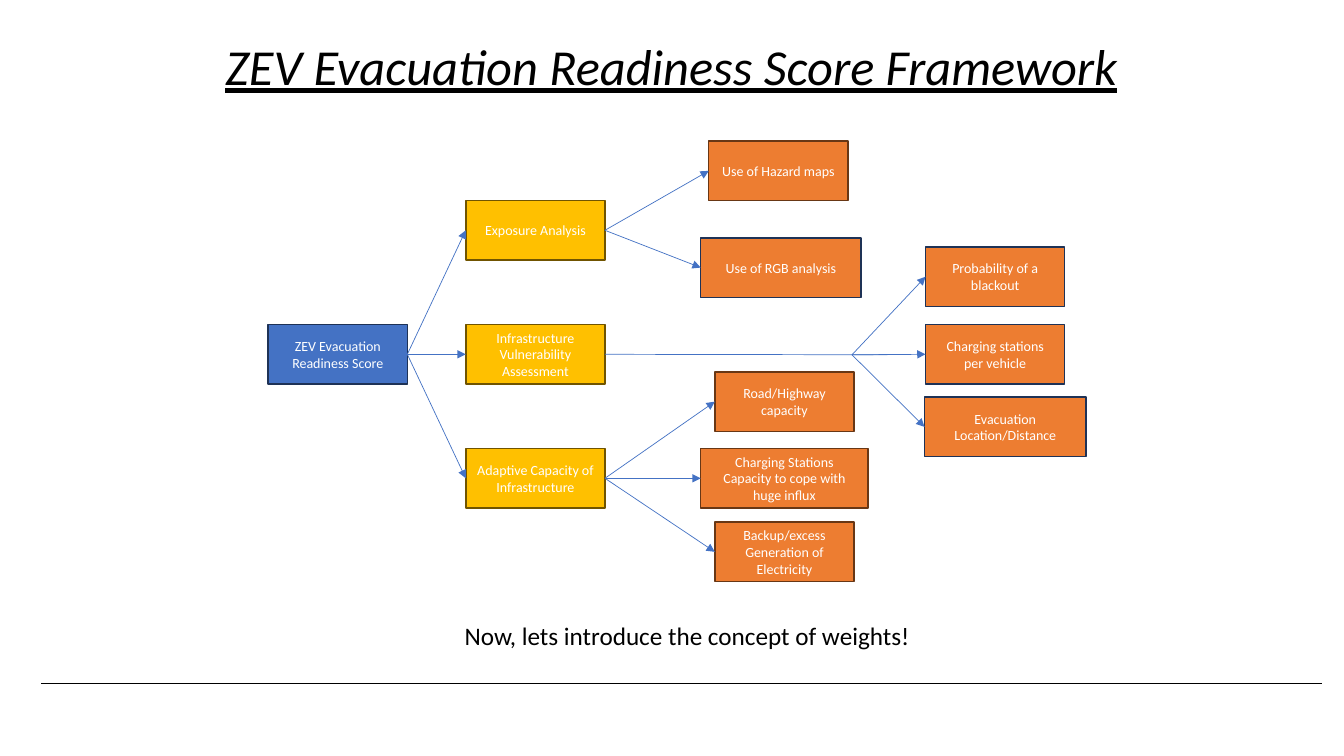
from lxml import etree
from pptx import Presentation, util as u
from pptx.dml import color
from pptx.enum import shapes, text
from pptx.oxml import ns

PX = 9144
BLUE, GOLD, ORANGE = "4472C4", "FFC000", "ED7D31"
NAVY, OLIVE, BROWN = "1E3256", "705400", "683715"
NODE_W, NODE_H = 138, 59
TOP, LEFT, BOTTOM, RIGHT = range(4)


def px(length):
    return u.Emu(length * PX)


def rgb(value):
    return color.RGBColor.from_string(value)


def write(frame, words, size, tint, align):
    frame.word_wrap = True
    paragraph = frame.paragraphs[0]
    paragraph.alignment = align
    run = paragraph.add_run()
    run.text = words
    run.font.name = "Calibri"
    run.font.size = u.Pt(size)
    run.font.color.rgb = rgb(tint)
    return run


def add_text(slide, box, words, size, align):
    label = slide.shapes.add_textbox(*map(px, box))
    return write(label.text_frame, words, size, "000000", align)


def add_title(slide, box):
    title = add_text(slide, box, "ZEV Evacuation Readiness Score Framework",
                     36, text.PP_ALIGN.CENTER)
    title.font.italic = True
    title.font.underline = True


def add_line(slide, start, end, tint, arrow=False):
    line = slide.shapes.add_connector(
        shapes.MSO_CONNECTOR.STRAIGHT, *map(px, (*start, *end)))
    line.line.color.rgb = rgb(tint)
    line.line.width = u.Pt(0.5)
    if arrow:
        etree.SubElement(line.line._get_or_add_ln(), ns.qn("a:tailEnd"), type="triangle")
    etree.SubElement(line._element.spPr, ns.qn("a:effectLst"))
    return line


def add_node(slide, box, words, fill, border):
    node = slide.shapes.add_shape(shapes.MSO_SHAPE.RECTANGLE, *map(px, box))
    node.shadow.inherit = False
    node.fill.solid()
    node.fill.fore_color.rgb = rgb(fill)
    node.line.color.rgb = rgb(border)
    node.line.width = u.Pt(1)
    node.text_frame.vertical_anchor = text.MSO_ANCHOR.MIDDLE
    write(node.text_frame, words, 10, "FFFFFF", text.PP_ALIGN.CENTER)
    return node


def link(slide, parent, child):
    arrow = add_line(slide, (0, 0), (0, 0), BLUE, arrow=True)
    arrow.begin_connect(parent, RIGHT)
    arrow.end_connect(child, LEFT)


def add_framework(slide, box):
    left, top, width, height = box

    def node(x, y, words, fill, border, node_w=NODE_W):
        return add_node(slide, (left + x, top + y, node_w, NODE_H), words, fill, border)

    middle = 182
    score = node(0, middle, "ZEV Evacuation Readiness Score", BLUE, NAVY)
    exposure, vulnerability, capacity = pillars = [
        node(196, middle + step * 123, words, GOLD, OLIVE)
        for step, words in zip((-1, 0, 1), (
            "Exposure Analysis",
            "Infrastructure Vulnerability Assessment",
            "Adaptive Capacity of Infrastructure"))]
    exposure_factors = [
        node(437, 0, "Use of Hazard maps", ORANGE, BROWN),
        node(429, 96, "Use of RGB analysis", ORANGE, NAVY, 159)]
    capacity_factors = [
        node(443, 229, "Road/Highway capacity", ORANGE, BROWN),
        node(429, 305, "Charging Stations Capacity to cope with huge influx",
             ORANGE, BROWN, 166),
        node(443, 378, "Backup/excess Generation of Electricity", ORANGE, BROWN)]
    vulnerability_factors = [
        node(652, 105, "Probability of a blackout", ORANGE, NAVY),
        node(652, middle, "Charging stations per vehicle", ORANGE, NAVY),
        node(651, 254, "Evacuation Location/Distance", ORANGE, NAVY, 160)]

    for parent, children in ((score, pillars), (exposure, exposure_factors),
                             (capacity, capacity_factors)):
        for child in children:
            link(slide, parent, child)

    axis = top + middle + NODE_H // 2 + 1
    fork = (left + 579, axis)
    trunk = add_line(slide, fork, (left + 614, axis), BLUE)
    trunk.begin_connect(vulnerability, RIGHT)
    for factor in vulnerability_factors:
        branch = add_line(slide, fork, fork, BLUE, arrow=True)
        branch.end_connect(factor, LEFT)


def main():
    deck = Presentation()
    deck.slide_width, deck.slide_height = px(1333), px(750)
    slide = deck.slides.add_slide(deck.slide_layouts[6])
    add_line(slide, (41, 678), (1311, 678), "000000")
    add_title(slide, (101, 30, 1130, 71))
    add_framework(slide, (266, 140, 811, 437))
    add_text(slide, (451, 610, 489, 40), "Now, lets introduce the concept of weights!",
             18, text.PP_ALIGN.LEFT)
    deck.save("out.pptx")


if __name__ == "__main__":
    main()
